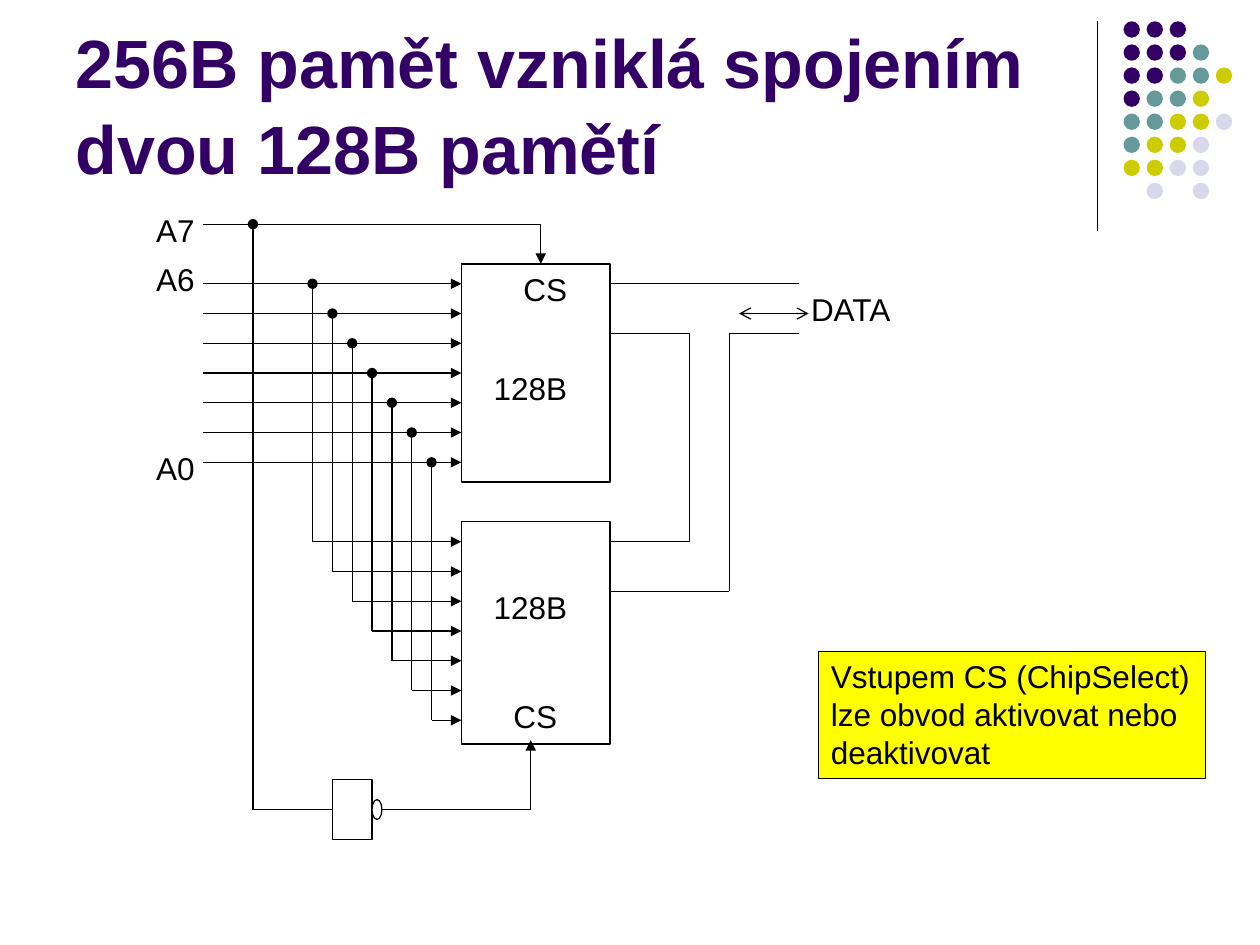
from lxml import etree
from pptx import Presentation
from pptx.dml.color import RGBColor
from pptx.enum.shapes import MSO_CONNECTOR, MSO_SHAPE
from pptx.enum.text import MSO_ANCHOR, MSO_AUTO_SIZE, PP_ALIGN
from pptx.oxml.ns import qn
from pptx.util import Cm, Pt

RECT, OVAL = MSO_SHAPE.RECTANGLE, MSO_SHAPE.OVAL
STRAIGHT = MSO_CONNECTOR.STRAIGHT
LEFT = PP_ALIGN.LEFT
TOP, BOTTOM = MSO_ANCHOR.TOP, MSO_ANCHOR.BOTTOM
NO_AUTOFIT = MSO_AUTO_SIZE.NONE

BLACK = RGBColor(0x00, 0x00, 0x00)
WHITE = RGBColor(0xFF, 0xFF, 0xFF)
YELLOW = RGBColor(0xFF, 0xFF, 0x00)
PURPLE = RGBColor(0x33, 0x00, 0x66)
TEAL = RGBColor(0x66, 0x99, 0x99)
OLIVE = RGBColor(0xCC, 0xCC, 0x00)
LAVENDER = RGBColor(0xD8, 0xD8, 0xEC)

prs = Presentation()
prs.slide_width, prs.slide_height = Cm(25.4), Cm(19.05)
s = prs.slides.add_slide(prs.slide_layouts[5])


def add_wire(x1, y1, x2, y2, head=None, tail=None):
    """Draw a thin black line in cm, with optional end marks."""
    line = s.shapes.add_connector(STRAIGHT, Cm(x1), Cm(y1), Cm(x2), Cm(y2))
    line.line.color.rgb = BLACK
    line.line.width = Pt(0.75)
    ln = line.line._get_or_add_ln()
    for tag, mark in (("a:headEnd", head), ("a:tailEnd", tail)):
        if mark:
            etree.SubElement(ln, qn(tag), type=mark)
    etree.SubElement(ln.getparent(), qn("a:effectLst"))


def add_shape(kind, x, y, w, h, fill=None, outline=BLACK):
    """Add a flat preset shape in cm; None leaves out fill or outline."""
    sp = s.shapes.add_shape(kind, Cm(x), Cm(y), Cm(w), Cm(h))
    sp.shadow.inherit = False
    for part, color in ((sp.fill, fill), (sp.line.fill, outline)):
        if color is None:
            part.background()
        else:
            part.solid()
            part.fore_color.rgb = color
    if outline is not None:
        sp.line.width = Pt(0.75)
    return sp


# Corner decoration
add_wire(22.12, 0.43, 22.12, 4.65)
DOT_COLORS = {"P": PURPLE, "T": TEAL, "O": OLIVE, "L": LAVENDER}
DOT_ROWS = ["PPP", "PPPT", "PPTTO", "PTTO", "TTOOL", "TOOL", "OOLL", " L L"]
for row, codes in enumerate(DOT_ROWS):
    for col, code in enumerate(codes):
        if code in DOT_COLORS:
            add_shape(OVAL, 22.65 + 0.465 * col, 0.43 + 0.465 * row, 0.33, 0.33,
                      DOT_COLORS[code], None)

# Title
title = s.shapes.title
title.left, title.top, title.width, title.height = Cm(1.27), Cm(0.33), Cm(20.95), Cm(3.6)
tf = title.text_frame
tf.text = "256B pamět vzniklá spojením dvou 128B pamětí"
tf.word_wrap = True
tf.auto_size = NO_AUTOFIT
tf.vertical_anchor = BOTTOM
p = tf.paragraphs[0]
p.alignment = LEFT
p.line_spacing = 1.05
p.font.name, p.font.size, p.font.bold = "Arial", Pt(39), True
p.font.color.rgb = PURPLE

# Memory chips
CHIP_LEFT, CHIP_RIGHT = 9.3, 12.3
for y, h in ((5.32, 4.4), (10.52, 4.48)):
    add_shape(RECT, CHIP_LEFT, y, CHIP_RIGHT - CHIP_LEFT, h)

# Address bus A6 to A0, branching to the lower chip
for i in range(7):
    x, y = 6.3 + 0.4 * i, 5.72 + 0.6 * i
    branch_y = y + 5.2
    add_wire(4.1, y, CHIP_LEFT, y, tail="triangle")
    add_wire(x, y, x, branch_y, head="oval")
    add_wire(x, branch_y, CHIP_LEFT, branch_y, tail="triangle")

# Data bus
for x1, y1, x2, y2 in (
    (CHIP_RIGHT, 5.72, 16.1, 5.72),
    (CHIP_RIGHT, 6.72, 13.9, 6.72),
    (13.9, 6.72, 13.9, 10.92),
    (CHIP_RIGHT, 10.92, 13.9, 10.92),
    (CHIP_RIGHT, 11.92, 14.7, 11.92),
    (14.7, 11.92, 14.7, 6.72),
    (14.7, 6.72, 16.1, 6.72),
):
    add_wire(x1, y1, x2, y2)
add_wire(14.9, 6.32, 16.3, 6.32, head="arrow", tail="arrow")

# Chip select from A7, inverted for the lower chip
add_wire(4.1, 4.52, 10.9, 4.52)
add_wire(10.9, 4.52, 10.9, 5.32, tail="triangle")
add_wire(5.1, 4.52, 5.1, 16.32, head="oval")
add_wire(5.1, 16.32, 10.7, 16.32)
add_wire(10.7, 16.32, 10.7, 14.92, tail="triangle")
add_shape(RECT, 6.7, 15.72, 0.8, 1.2, WHITE)
add_shape(OVAL, 7.5, 16.12, 0.2, 0.4, WHITE)

# Labels and note
note = add_shape(RECT, 16.5, 13.13, 7.8, 2.57, YELLOW)
texts = [(note, "Vstupem CS (ChipSelect) lze obvod aktivovat nebo deaktivovat")]
for text, x, y, w in (
    ("A7", 2.9, 4.12, 1.6),
    ("A6", 2.9, 5.12, 1.6),
    ("A0", 2.9, 8.92, 1.4),
    ("DATA", 16.1, 5.72, 3),
    ("CS", 10.3, 5.32, 1.6),
    ("128B", 9.7, 7.32, 2.2),
    ("128B", 9.7, 11.72, 2.2),
    ("CS", 10.1, 13.92, 1.6),
):
    texts.append((s.shapes.add_textbox(Cm(x), Cm(y), Cm(w), Cm(1.02)), text))
for sp, text in texts:
    tf = sp.text_frame
    tf.text = text
    tf.word_wrap = True
    tf.vertical_anchor = TOP
    p = tf.paragraphs[0]
    p.alignment = LEFT
    p.font.name, p.font.size = "Arial", Pt(18)
    p.font.color.rgb = BLACK

prs.save("out.pptx")
